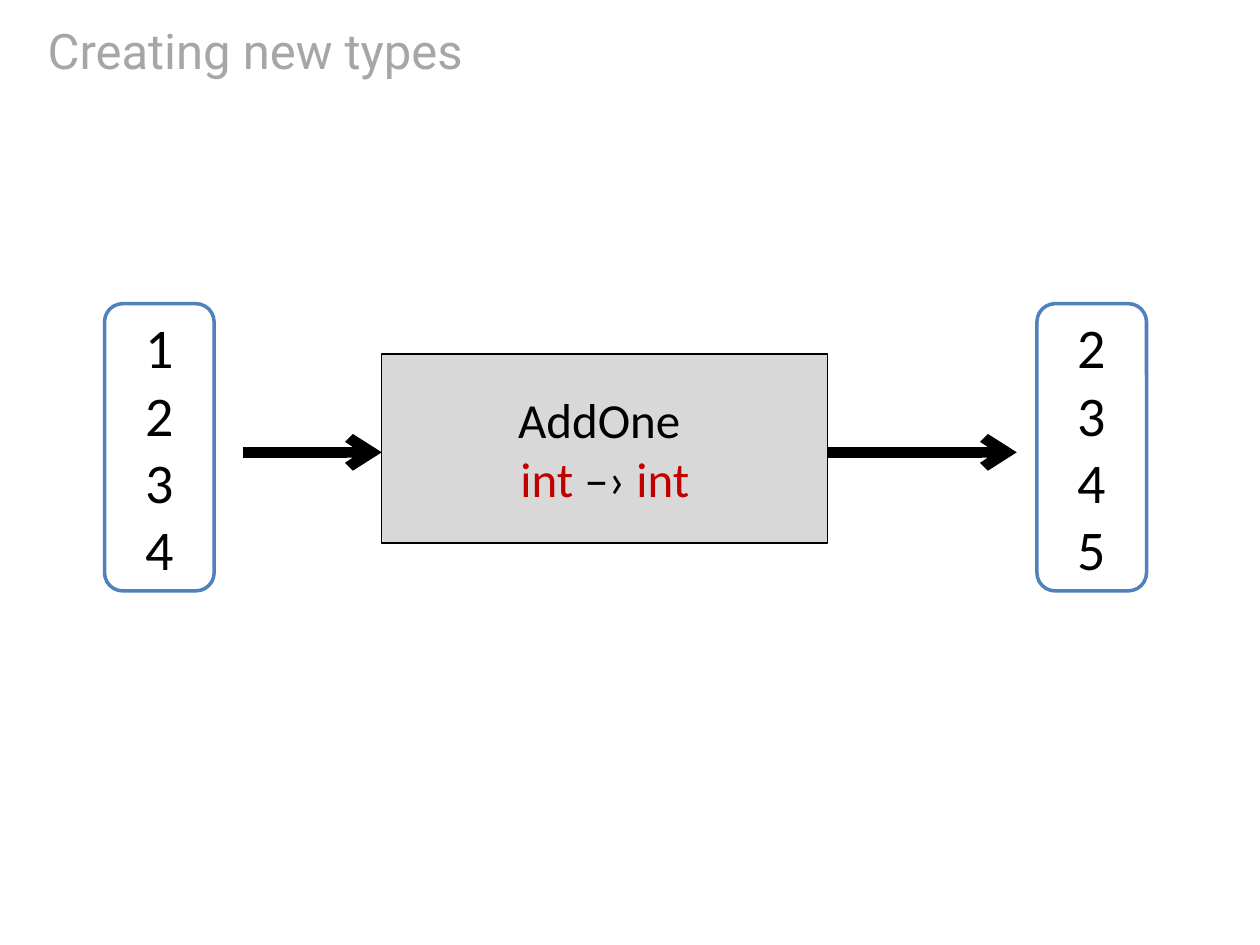
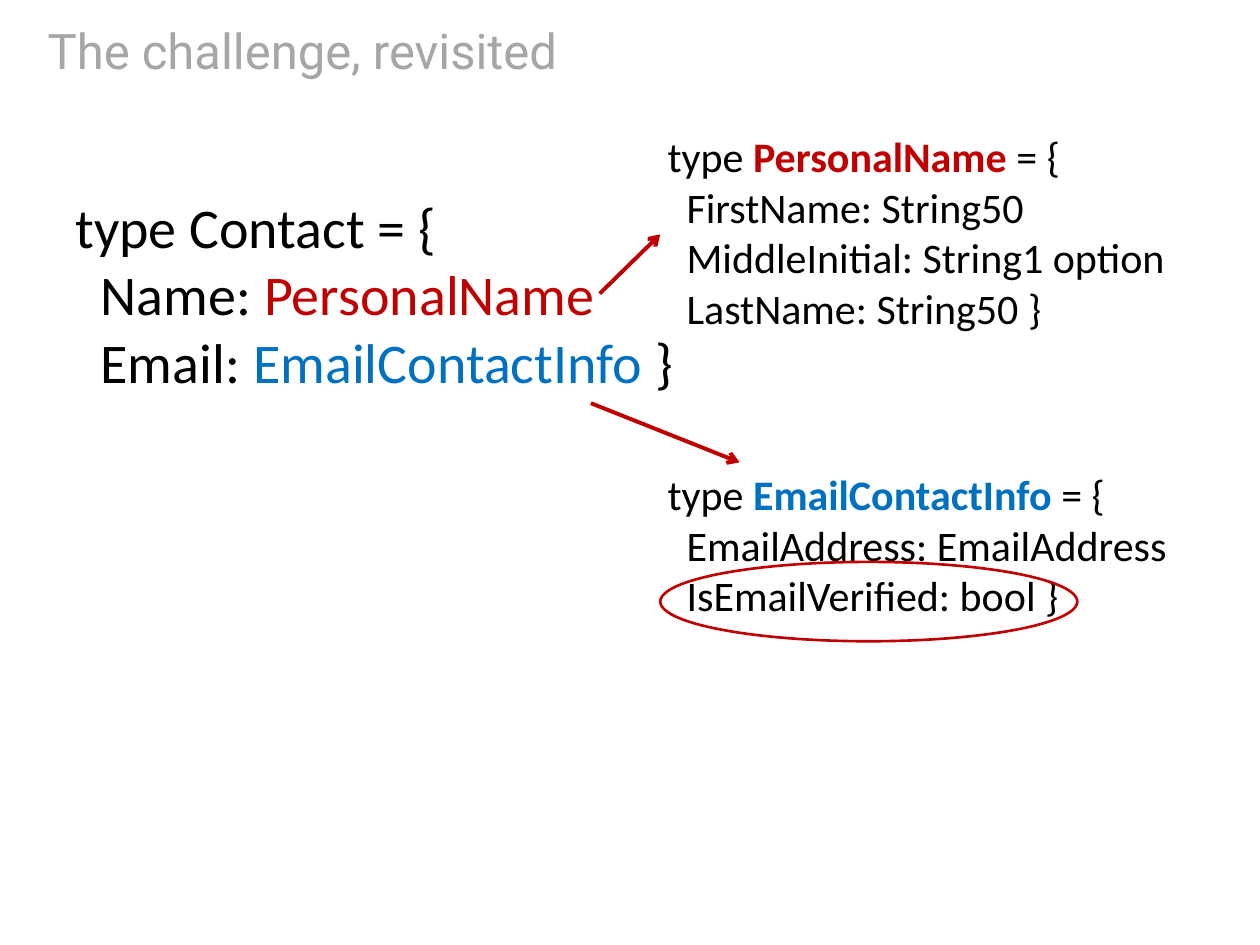
from lxml import etree
from pptx import Presentation
from pptx.dml.color import RGBColor
from pptx.enum.shapes import MSO_CONNECTOR, MSO_SHAPE
from pptx.enum.text import MSO_ANCHOR, PP_ALIGN
from pptx.oxml.ns import qn
from pptx.util import Inches, Pt

RECT, ROUND, OVAL = MSO_SHAPE.RECTANGLE, MSO_SHAPE.ROUNDED_RECTANGLE, MSO_SHAPE.OVAL
STRAIGHT = MSO_CONNECTOR.STRAIGHT
LEFT, CENTER = PP_ALIGN.LEFT, PP_ALIGN.CENTER
TOP, MIDDLE = MSO_ANCHOR.TOP, MSO_ANCHOR.MIDDLE
COLORS = {
    "black": "000000",
    "white": "FFFFFF",
    "title": "A6A6A6",
    "box": "D8D8D8",
    "border": "4F81BD",
    "red": "C00000",
    "blue": "0070C0",
}


class Deck:
    """Holds the shared style and the current slide."""

    def __init__(self):
        self.prs = Presentation()
        self.prs.slide_width, self.prs.slide_height = Inches(10), Inches(7.5)
        self.s = None

    def color(self, name):
        return RGBColor.from_string(COLORS[name])

    def slide(self, title):
        self.s = self.prs.slides.add_slide(self.prs.slide_layouts[6])
        self.text(0.28, 0.13, 9.45, 0.54, [[(title, "title")]], 28, "Roboto", MIDDLE)

    def set_lines(self, tf, lines, size, font="Calibri", align=LEFT, anchor=TOP):
        tf.word_wrap = True
        tf.vertical_anchor = anchor
        for i, line in enumerate(lines):
            p = tf.paragraphs[0] if i == 0 else tf.add_paragraph()
            p.alignment = align
            for text, color, *bold in line:
                r = p.add_run()
                r.text = text
                r.font.name, r.font.size = font, Pt(size)
                r.font.bold = bool(bold)
                r.font.color.rgb = self.color(color)

    def text(self, x, y, w, h, lines, size, font="Calibri", anchor=TOP):
        sp = self.s.shapes.add_textbox(Inches(x), Inches(y), Inches(w), Inches(h))
        self.set_lines(sp.text_frame, lines, size, font, anchor=anchor)

    def shape(self, kind, x, y, w, h, line, width, fill=None, lines=(), size=28):
        sp = self.s.shapes.add_shape(kind, Inches(x), Inches(y), Inches(w), Inches(h))
        sp.shadow.inherit = False
        if fill:
            sp.fill.solid()
            sp.fill.fore_color.rgb = self.color(fill)
        else:
            sp.fill.background()
        sp.line.color.rgb = self.color(line)
        sp.line.width = Pt(width)
        self.set_lines(sp.text_frame, lines, size, align=CENTER, anchor=MIDDLE)

    def arrow(self, x1, y1, x2, y2, color, width):
        cn = self.s.shapes.add_connector(
            STRAIGHT, Inches(x1), Inches(y1), Inches(x2), Inches(y2))
        cn.line.color.rgb = self.color(color)
        cn.line.width = Pt(width)
        props = cn.element.spPr
        etree.SubElement(props.find(qn("a:ln")), qn("a:tailEnd"), type="arrow")
        etree.SubElement(props, qn("a:effectLst"))

    def numbers(self, x, first):
        lines = [[(str(n), "black")] for n in range(first, first + 4)]
        self.shape(ROUND, x, 2.41, 0.87, 2.28, "border", 2, "white", lines, 32)

    def type_definition(self, y, h, name, color, fields):
        head = [("type ", "black"), (name, color, True), (" = {", "black")]
        body = [[("  " + field, "black")] for field in fields]
        self.text(5.2, y, 4.8, h, [head] + body, 24)


def function_slide(deck):
    deck.slide("Creating new types")
    for start, end in ((1.93, 3.03), (6.57, 8.07)):
        deck.arrow(start, 3.59, end, 3.59, "black", 6)
    signature = [("int ", "red"), ("–› ", "black"), ("int", "red")]
    deck.shape(RECT, 3.03, 2.81, 3.54, 1.5, "black", 0.75, "box",
               [[("AddOne ", "black")], signature])
    deck.numbers(0.83, 1)
    deck.numbers(8.23, 2)


def contact_slide(deck):
    deck.slide("The challenge, revisited")
    deck.text(0.5, 1.48, 5.37, 2.26, [
        [("type Contact = {", "black")],
        [("  Name: ", "black"), ("PersonalName", "red")],
        [("  Email: ", "black"), ("EmailContactInfo", "blue"), (" }", "black")],
    ], 32)
    deck.type_definition(0.99, 1.72, "PersonalName", "red", [
        "FirstName: String50", "MiddleInitial: String1 option", "LastName: String50 }"])
    deck.type_definition(3.67, 1.31, "EmailContactInfo", "blue", [
        "EmailAddress: EmailAddress", "IsEmailVerified: bool }"])
    deck.arrow(4.76, 2.33, 5.24, 1.86, "red", 2.25)
    deck.arrow(4.69, 3.2, 5.87, 3.67, "red", 2.25)
    deck.shape(OVAL, 5.24, 4.46, 3.31, 0.63, "red", 1.5)


def main():
    deck = Deck()
    function_slide(deck)
    contact_slide(deck)
    deck.prs.save("out.pptx")


if __name__ == "__main__":
    main()
